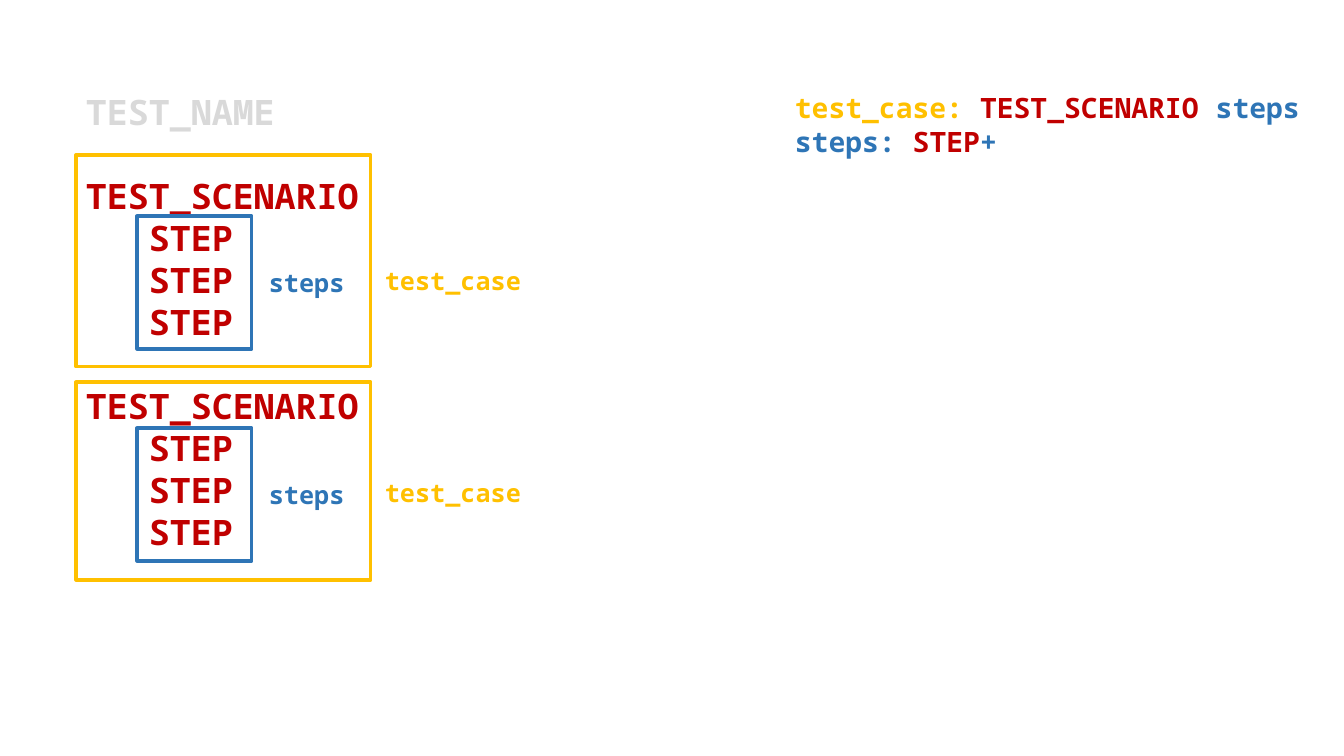
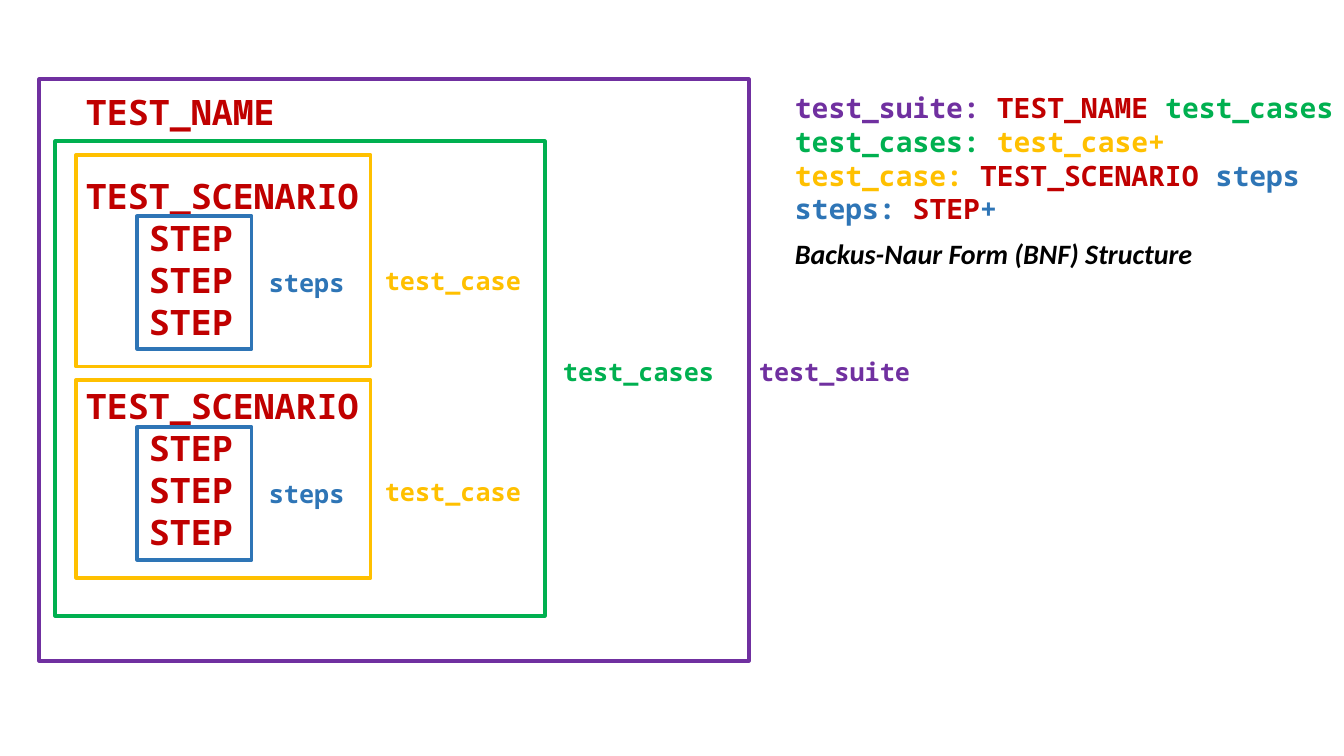
"""Build two slides that map a test file's layout to its grammar rules."""
import pptx
import pptx.dml.color
import pptx.enum.shapes
import pptx.enum.text
import pptx.util

PX = 914400 / 100.8
MONO = "Noto Sans Mono"
RED = pptx.dml.color.RGBColor(0xC0, 0x00, 0x00)
GRAY = pptx.dml.color.RGBColor(0xD9, 0xD9, 0xD9)
BLUE = pptx.dml.color.RGBColor(0x2E, 0x75, 0xB6)
GOLD = pptx.dml.color.RGBColor(0xFF, 0xC0, 0x00)
GREEN = pptx.dml.color.RGBColor(0x00, 0xB0, 0x50)
PURPLE = pptx.dml.color.RGBColor(0x70, 0x30, 0xA0)
BLACK = pptx.dml.color.RGBColor(0x00, 0x00, 0x00)
STEP_INDENT = 63
SCENARIO_GAP = 30


def add_text(slide, box, lines, size=18, font=MONO, italic=False, wrap=True):
    """Add a text box; each line is (runs, indent in px, space before in points)."""
    shape = slide.shapes.add_textbox(*(round(value * PX) for value in box))
    frame = shape.text_frame
    frame.word_wrap = wrap
    frame.auto_size = pptx.enum.text.MSO_AUTO_SIZE.SHAPE_TO_FIT_TEXT
    for index, (runs, indent, gap) in enumerate(lines):
        paragraph = frame.add_paragraph() if index else frame.paragraphs[0]
        if indent:
            paragraph._p.get_or_add_pPr().set("marL", str(round(indent * PX)))
        if gap:
            paragraph.space_before = pptx.util.Pt(gap)
        for text, color in runs:
            run = paragraph.add_run()
            run.text = text
            run.font.name = font
            run.font.size = pptx.util.Pt(size)
            run.font.bold = True
            run.font.italic = italic
            run.font.color.rgb = color


def add_frame(slide, box, color):
    """Add an unfilled rectangle outlined in the given colour."""
    shape = slide.shapes.add_shape(
        pptx.enum.shapes.MSO_SHAPE.RECTANGLE, *(round(value * PX) for value in box)
    )
    shape.shadow.inherit = False
    shape.fill.background()
    shape.line.color.rgb = color
    shape.line.width = pptx.util.Pt(2.25)


presentation = pptx.Presentation()
presentation.slide_width = round(1344 * PX)
presentation.slide_height = round(756 * PX)
blank_layout = presentation.slide_layouts[6]

case_rules = [
    [("test_case: ", GOLD), ("TEST_SCENARIO ", RED), ("steps", BLUE)],
    [("steps: ", BLUE), ("STEP", RED), ("+", BLUE)],
]
suite_rules = [
    [("test_suite: ", PURPLE), ("TEST_NAME ", RED), ("test_cases", GREEN)],
    [("test_cases: ", GREEN), ("test_case+", GOLD)],
]
scenario = [([("TEST_SCENARIO", RED)], 0, SCENARIO_GAP)]
scenario += [([("STEP", RED)], STEP_INDENT, 0)] * 3

first_case = (155, 212, 216)
slide_plans = [
    (GRAY, case_rules, 78, [first_case, (382, 198, 428)]),
    (RED, suite_rules + case_rules, 146, [first_case, (380, 198, 427)]),
]

for name_color, rules, rules_height, cases in slide_plans:
    slide = presentation.slides.add_slide(blank_layout)
    outline = [([("TEST_NAME", name_color)], 0, 0)] + scenario * 2
    add_text(slide, (76, 86, 423, 477), outline, size=25)
    add_text(slide, (785, 86, 559, rules_height),
             [(runs, 0, 0) for runs in rules], size=20, wrap=False)
    for case_top, case_height, steps_top in cases:
        add_frame(slide, (137, steps_top, 115, 133), BLUE)
        add_frame(slide, (76, case_top, 295, case_height), GOLD)
        add_text(slide, (259, steps_top + 46, 105, 41), [([("steps", BLUE)], 0, 0)])
        add_text(slide, (375, steps_top + 44, 187, 40), [([("test_case", GOLD)], 0, 0)])

suite_frames = [
    ("test_cases", GREEN, (55, 141, 490, 475), 553),
    ("test_suite", PURPLE, (39, 79, 710, 582), 749),
]
for label, color, box, label_left in suite_frames:
    add_frame(slide, box, color)
    add_text(slide, (label_left, 351, 187, 40), [([(label, color)], 0, 0)])

add_text(slide, (785, 232, 559, 44),
         [([("Backus-Naur Form (BNF) Structure", BLACK)], 0, 0)],
         size=20, font="Calibri", italic=True)

presentation.save("out.pptx")
